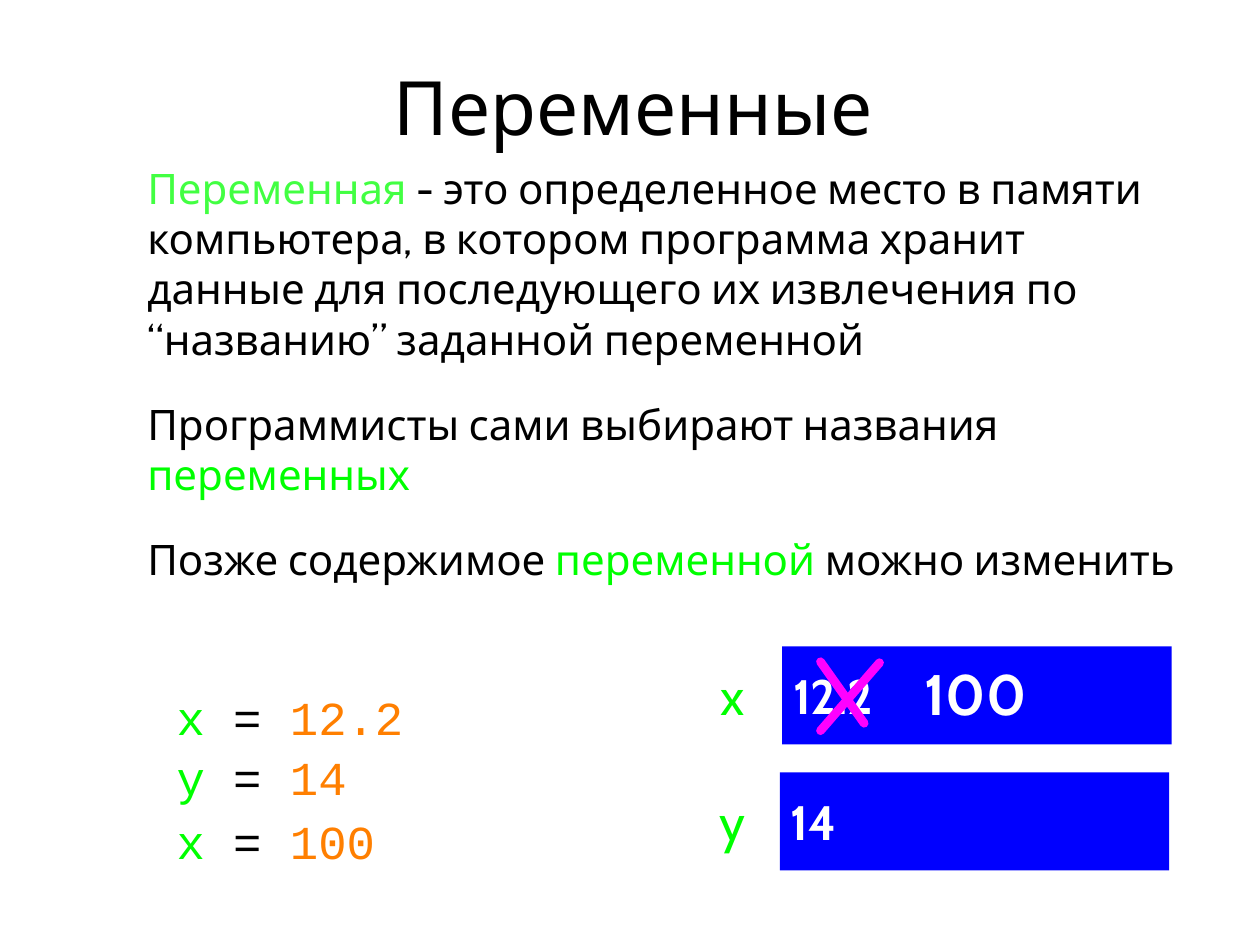
from lxml import etree
from pptx import Presentation
from pptx import util as u
from pptx.dml.color import RGBColor
from pptx.enum import shapes, text
from pptx.oxml.ns import qn

THEME = {
    "sans": "Cabin", "mono": "Courier New",
    "ink": "000000", "term": "42FF42", "name": "00FF00", "number": "FF7F00",
    "cell": "0000FF", "value": "FFFFFF", "cross": "FF00FF",
    "title": 42.8, "body": 24, "stored": 27.6, "label": 29.2, "code": 27, "new": 32.6,
}

TITLE = [[("Переменные", "ink")]]
BODY = [
    [("Переменная", "term"),
     (" - это определенное место в памяти компьютера, в котором программа хранит "
      "данные для последующего их извлечения по “названию” заданной переменной", "ink")],
    [("Программисты сами выбирают названия ", "ink"), ("переменных", "name")],
    [("Позже содержимое ", "ink"), ("переменной ", "name"), ("можно изменить", "ink")],
]
CODE = [
    ((3.56, 13.54, 6.3, 3.73), [("x", "12.2"), ("y", "14")]),
    ((3.56, 16.05, 5.92, 1.35), [("x", "100")]),
]
CELLS = [("x", "12.2", 15.77, 13.03), ("y", "14", 15.72, 15.57)]
CELL_W, CELL_H = 7.85, 1.98
LABEL_X, LABEL_W, LABEL_H = 14.43, 0.67, 1.35
CROSS = [(17.73, 13.36, 16.54, 14.73), (16.54, 13.34, 17.42, 14.58)]


def color(key):
    return RGBColor.from_string(THEME[key])


def write(sp, paragraphs, size, font="sans", align="LEFT", anchor="MIDDLE",
          inset=(0, 0, 0, 0), gap=0, bold=False):
    tf = sp.text_frame
    tf.word_wrap = True
    tf.vertical_anchor = text.MSO_ANCHOR[anchor]
    tf.margin_left, tf.margin_top, tf.margin_right, tf.margin_bottom = map(u.Cm, inset)
    for i, runs in enumerate(paragraphs):
        p = tf.add_paragraph() if i else tf.paragraphs[0]
        p.alignment = text.PP_ALIGN[align]
        if i and gap:
            p.space_before = u.Pt(gap)
        for words, key in runs:
            r = p.add_run()
            r.text = words
            r.font.name = THEME[font]
            r.font.size = u.Pt(THEME[size])
            r.font.bold = bold
            r.font.color.rgb = color(key)


def add_text(s, box, paragraphs, size, **style):
    write(s.shapes.add_textbox(*map(u.Cm, box)), paragraphs, size, **style)


def add_cell(s, name, value, x, y):
    sp = s.shapes.add_shape(shapes.MSO_SHAPE.RECTANGLE,
                            *map(u.Cm, (x, y, CELL_W, CELL_H)))
    sp.shadow.inherit = False
    sp.fill.solid()
    sp.fill.fore_color.rgb = color("cell")
    sp.line.fill.background()
    write(sp, [[(value, "value")]], "stored", inset=(0.22, 0, 0, 0), bold=True)
    label_y = y + (CELL_H - LABEL_H) / 2
    add_text(s, (LABEL_X, label_y, LABEL_W, LABEL_H), [[(name, "name")]],
             "label", align="CENTER")


def add_stroke(s, ends):
    line = s.shapes.add_connector(shapes.MSO_CONNECTOR.STRAIGHT, *map(u.Cm, ends))
    line.line.color.rgb = color("cross")
    line.line.width = u.Pt(5)
    line.line._get_or_add_ln().set("cap", "rnd")
    etree.SubElement(line._element.spPr, qn("a:effectLst"))


def main():
    prs = Presentation()
    prs.slide_width, prs.slide_height = u.Cm(25.4), u.Cm(19.05)
    s = prs.slides.add_slide(prs.slide_layouts[6])
    add_text(s, (1.88, 0.33, 21.77, 3.58), TITLE, "title", align="CENTER")
    add_text(s, (1.75, 5.13, 22.02, 4.78), BODY, "body",
             inset=(1.22, 0.05, 0.05, 0.05), gap=19.7)
    for cell in CELLS:
        add_cell(s, *cell)
    for box, assignments in CODE:
        lines = [[(f"{name} ", "name"), ("= ", "ink"), (value, "number")]
                 for name, value in assignments]
        add_text(s, box, lines, "code", font="mono", anchor="TOP",
                 inset=(0, 0.33, 0, 0), gap=2)
    for ends in CROSS:
        add_stroke(s, ends)
    add_text(s, (18.36, 13.23, 2.62, 1.47), [[("100", "value")]], "new",
             align="CENTER", bold=True)
    prs.save("out.pptx")


if __name__ == "__main__":
    main()
